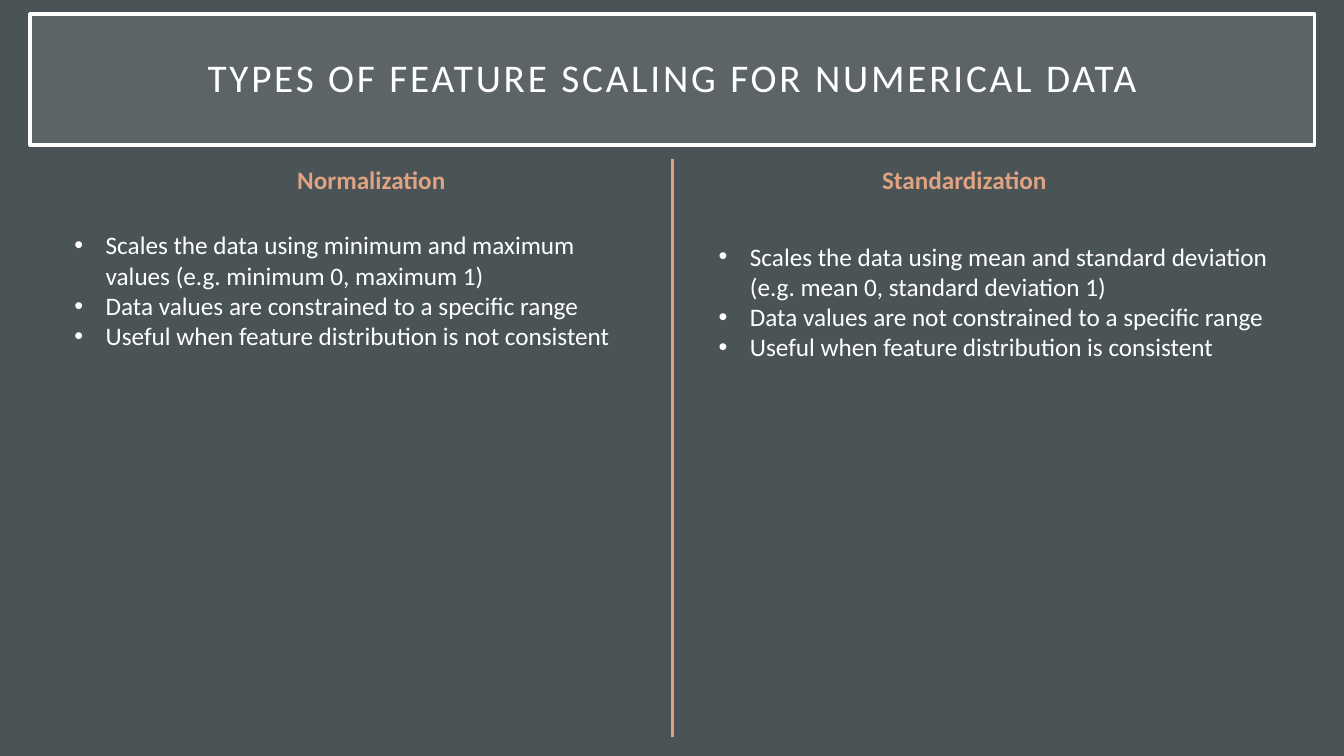
from lxml import etree
from pptx import Presentation
from pptx.dml.color import RGBColor
from pptx.enum.shapes import MSO_CONNECTOR, MSO_SHAPE
from pptx.enum.text import MSO_ANCHOR, MSO_AUTO_SIZE, PP_ALIGN
from pptx.oxml.ns import qn
from pptx.util import Inches, Pt

RECTANGLE, STRAIGHT = MSO_SHAPE.RECTANGLE, MSO_CONNECTOR.STRAIGHT
CENTER, LEFT = PP_ALIGN.CENTER, PP_ALIGN.LEFT
MIDDLE, TOP, FIT = MSO_ANCHOR.MIDDLE, MSO_ANCHOR.TOP, MSO_AUTO_SIZE.SHAPE_TO_FIT_TEXT

WHITE, ACCENT, BACKGROUND = "FFFFFF", "E0A382", "4A5356"
TITLE = "TYPES OF FEATURE SCALING FOR NUMERICAL DATA"
COLUMNS = [
    {
        "heading": "Normalization",
        "heading_at": (2.85, 1.58, 1.93, 0.4),
        "points_at": (0.64, 2.23, 5.84, 1.31),
        "points": [
            "Scales the data using minimum and maximum values (e.g. minimum 0, maximum 1)",
            "Data values are constrained to a specific range",
            "Useful when feature distribution is not consistent",
        ],
    },
    {
        "heading": "Standardization",
        "heading_at": (8.65, 1.58, 2.08, 0.4),
        "points_at": (7.03, 2.34, 5.84, 1.31),
        "points": [
            "Scales the data using mean and standard deviation (e.g. mean 0, standard deviation 1)",
            "Data values are not constrained to a specific range",
            "Useful when feature distribution is consistent",
        ],
    },
]
TITLE_FONT = {"name": "Calibri", "size": Pt(28), "bold": False}
HEADING_FONT = {"name": "Calibri", "size": Pt(18), "bold": True}
POINT_FONT = {"name": "Calibri", "size": Pt(18), "bold": False}
INDENT = Inches(0.31)


def set_all(target, values):
    for name, value in values.items():
        setattr(target, name, value)


def paint(color_format, color):
    color_format.rgb = RGBColor.from_string(color)


def lengths(values):
    return [Inches(value) for value in values]


def add_bullet(para):
    properties = para._p.get_or_add_pPr()
    properties.set("marL", str(INDENT))
    properties.set("indent", str(-INDENT))
    etree.SubElement(properties, qn("a:buFont")).set("typeface", "Arial")
    etree.SubElement(properties, qn("a:buChar")).set("char", "•")


def write(frame, lines, font, color, align=LEFT, bullets=False):
    for index, line in enumerate(lines):
        para = frame.add_paragraph() if index else frame.paragraphs[0]
        para.alignment = align
        if bullets:
            add_bullet(para)
        span = para.add_run()
        span.text = line
        set_all(span.font, font)
        paint(span.font.color, color)


def add_text(page, at, lines, font, color, wrap, bullets=False):
    frame = page.shapes.add_textbox(*lengths(at)).text_frame
    set_all(frame, {"word_wrap": wrap, "auto_size": FIT, "vertical_anchor": TOP})
    write(frame, lines, font, color, bullets=bullets)


def add_title(page):
    box = page.shapes.add_shape(RECTANGLE, *lengths((0.3, 0.14, 12.74, 1.3)))
    box.shadow.inherit = False
    box.fill.solid()
    paint(box.fill.fore_color, WHITE)
    fill_color = box._element.spPr.find(qn("a:solidFill"))[0]
    etree.SubElement(fill_color, qn("a:alpha")).set("val", "10000")
    paint(box.line.color, WHITE)
    box.line.width = Pt(2.5)
    frame = box.text_frame
    margins = {f"margin_{side}": Inches(0.2) for side in ("left", "top", "right", "bottom")}
    set_all(frame, {"word_wrap": True, "vertical_anchor": MIDDLE, **margins})
    write(frame, [TITLE], TITLE_FONT, WHITE, CENTER)
    para = frame.paragraphs[0]
    para.line_spacing = 0.9
    para.runs[0]._r.get_or_add_rPr().set("spc", "200")


def add_divider(page):
    divider = page.shapes.add_connector(STRAIGHT, *lengths((6.67, 1.58, 6.67, 7.31)))
    paint(divider.line.color, ACCENT)
    divider.line.width = Pt(1.5)
    etree.SubElement(divider._element.spPr, qn("a:effectLst"))


def main():
    deck = Presentation()
    set_all(deck, {"slide_width": Inches(13.33), "slide_height": Inches(7.5)})
    page = deck.slides.add_slide(deck.slide_layouts[6])
    page.background.fill.solid()
    paint(page.background.fill.fore_color, BACKGROUND)
    add_title(page)
    add_divider(page)
    for column in COLUMNS:
        add_text(page, column["heading_at"], [column["heading"]], HEADING_FONT, ACCENT, False)
        add_text(page, column["points_at"], column["points"], POINT_FONT, WHITE, True, True)
    deck.save("out.pptx")


if __name__ == "__main__":
    main()
